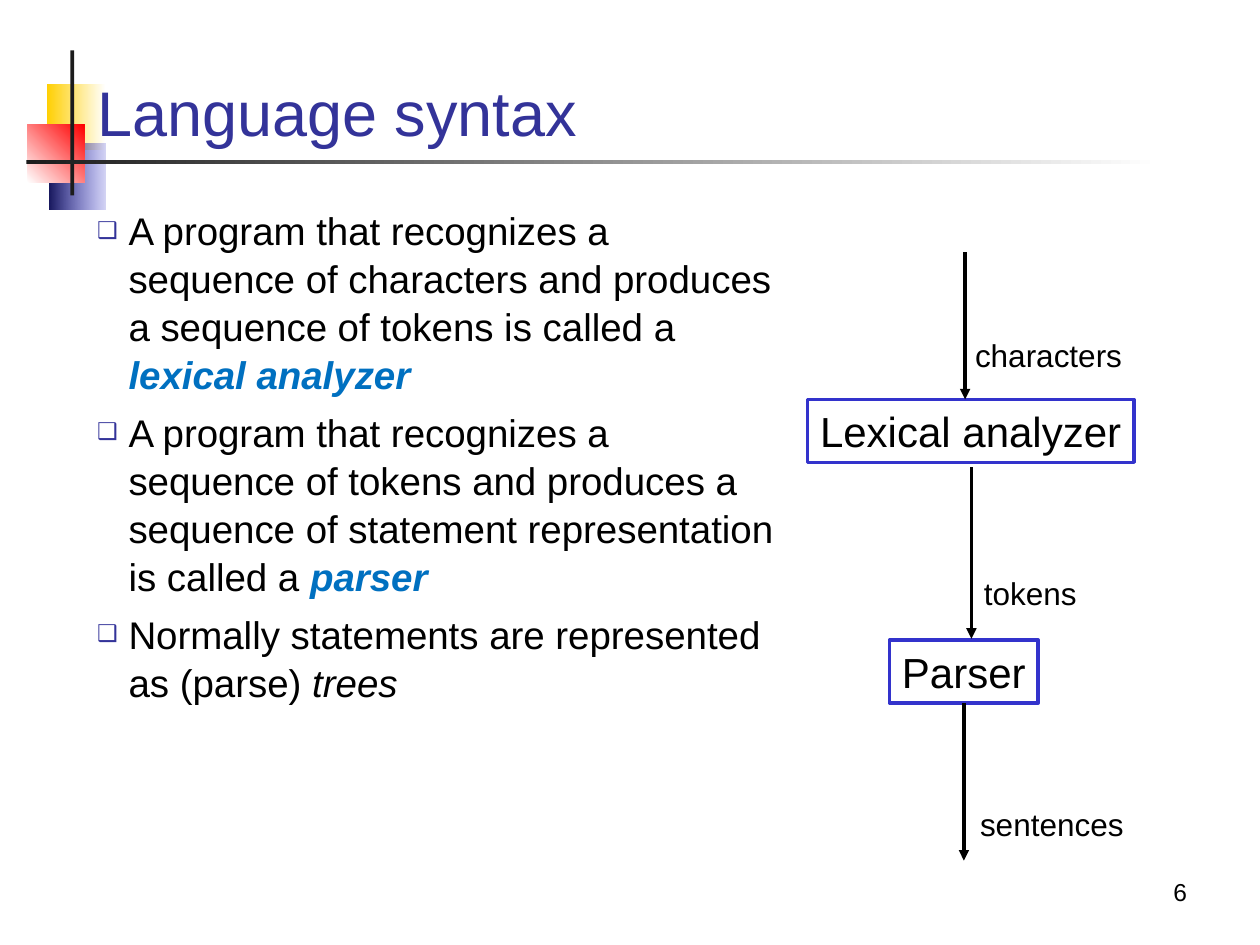
from dataclasses import dataclass

from lxml.etree import SubElement
from pptx import Presentation
from pptx.dml.color import RGBColor
from pptx.enum.shapes import MSO_CONNECTOR, MSO_SHAPE
from pptx.enum.text import MSO_ANCHOR, MSO_AUTO_SIZE, PP_ALIGN
from pptx.oxml.ns import qn
from pptx.util import Inches, Pt


@dataclass(frozen=True)
class Theme:
    font: str = "Arial"
    ink: str = "000000"
    heading: str = "333399"
    term: str = "0070C0"
    frame: str = "3333CC"
    rule: str = "1C1C1C"
    white: str = "FFFFFF"
    yellow: str = "FFCF01"
    navy: str = "18185E"
    red: str = "FF0000"
    title_size: int = 36
    body_size: int = 22
    stage_size: int = 24
    label_size: int = 18
    number_size: int = 14


theme = Theme()


def write(paragraph, text, size, color=theme.ink, bold=False, italic=False,
          align=PP_ALIGN.LEFT):
    paragraph.alignment = align
    run = paragraph.add_run()
    run.text = text
    run.font.name = theme.font
    run.font.size = Pt(size)
    run.font.bold = bold
    run.font.italic = italic
    run.font.color.rgb = RGBColor.from_string(color)


def place(holder, left, top, width, height, anchor=MSO_ANCHOR.TOP, wrap=True):
    holder.left, holder.top = Inches(left), Inches(top)
    holder.width, holder.height = Inches(width), Inches(height)
    frame = holder.text_frame
    frame.auto_size = MSO_AUTO_SIZE.NONE
    frame.word_wrap = wrap
    frame.vertical_anchor = anchor
    return frame.paragraphs[0]


prs = Presentation()
prs.slide_width, prs.slide_height = Inches(10), Inches(7.5)
slide = prs.slides.add_slide(prs.slide_layouts[1])
shapes = slide.shapes
title, body = shapes.title, slide.placeholders[1]

ornaments = [
    (0.37, 0.67, 0.47, 0.52, theme.yellow, theme.white, 0),
    (0.39, 1.14, 0.45, 0.52, theme.navy, theme.frame, 0),
    (0.22, 0.99, 0.45, 0.46, theme.white, theme.red, 45),
    (0.56, 0.4, 0.03, 1.15, theme.rule, theme.rule, 0),
    (0.21, 1.27, 9, 0.03, theme.rule, theme.white, 0),
]
for left, top, width, height, start, end, angle in ornaments:
    ornament = shapes.add_shape(MSO_SHAPE.RECTANGLE, Inches(left), Inches(top),
                                Inches(width), Inches(height))
    ornament.shadow.inherit = False
    ornament.line.fill.background()
    if start == end:
        ornament.fill.solid()
        ornament.fill.fore_color.rgb = RGBColor.from_string(start)
        continue
    ornament.fill.gradient()
    ornament.fill.gradient_angle = angle
    for stop, color in zip(ornament.fill.gradient_stops, (start, end)):
        stop.color.rgb = RGBColor.from_string(color)
    if end == theme.frame:
        last_color = ornament._element.findall(".//" + qn("a:srgbClr"))[-1]
        SubElement(last_color, qn("a:alpha"), val="20000")

page_number = shapes.add_textbox(0, 0, 0, 0)
write(place(page_number, 7.44, 6.74, 2.08, 0.5, MSO_ANCHOR.BOTTOM), "6",
      size=theme.number_size, align=PP_ALIGN.RIGHT)

for holder in (title, body):
    shapes._spTree.append(holder._element)
write(place(title, 0.67, 0.28, 8.66, 0.95, MSO_ANCHOR.BOTTOM), "Language syntax",
      size=theme.title_size, color=theme.heading)

place(body, 0.67, 1.58, 5.58, 5.42)
emphasis = dict(color=theme.term, bold=True, italic=True)
points = [
    ("A program that recognizes a sequence of characters and produces "
     "a sequence of tokens is called a ", "lexical analyzer", emphasis),
    ("A program that recognizes a sequence of tokens and produces "
     "a sequence of statement representation is called a ", "parser", emphasis),
    ("Normally statements are represented as (parse) ", "trees", dict(italic=True)),
]
for index, (statement, term, style) in enumerate(points):
    point = body.text_frame.add_paragraph() if index else body.text_frame.paragraphs[0]
    properties = point._p.get_or_add_pPr()
    properties.set("marL", str(Inches(0.25)))
    properties.set("indent", str(Inches(-0.25)))
    bullet_color = SubElement(properties, qn("a:buClr"))
    SubElement(bullet_color, qn("a:srgbClr"), val=theme.heading)
    SubElement(properties, qn("a:buSzPct"), val="60000")
    SubElement(properties, qn("a:buChar"), char="❑")
    point.space_before = Pt(5.5 if index else 0)
    point.line_spacing = 1.04
    write(point, statement, size=theme.body_size)
    write(point, term, size=theme.body_size, **style)

stages = {}
for name, left, top, width in [("Lexical analyzer", 6.41, 3.17, 2.59),
                               ("Parser", 7.06, 5.08, 1.18)]:
    stage = shapes.add_shape(MSO_SHAPE.RECTANGLE, 0, 0, 0, 0)
    stage.shadow.inherit = False
    stage.fill.background()
    stage.line.color.rgb = RGBColor.from_string(theme.frame)
    stage.line.width = Pt(2)
    write(place(stage, left, top, width, 0.5, wrap=False), name, size=theme.stage_size)
    stages[name] = stage

flows = [
    ("characters", 7.66, 2, 3.17, 7.64, 2.62, 1.36, None),
    ("tokens", 7.71, 3.71, 5.07, 7.71, 4.51, 0.93, None),
    ("sentences", 7.66, 5.58, 6.83, 7.68, 6.34, 1.34, "Parser"),
]
for name, x, start, end, left, top, width, source in flows:
    arrow = shapes.add_connector(MSO_CONNECTOR.STRAIGHT, Inches(x), Inches(start),
                                 Inches(x), Inches(end))
    if source:
        arrow.begin_connect(stages[source], 2)
        arrow.end_x = arrow.begin_x
    arrow.line.color.rgb = RGBColor.from_string(theme.ink)
    arrow.line.width = Pt(2)
    SubElement(arrow.line._get_or_add_ln(), qn("a:tailEnd"), type="triangle")
    SubElement(arrow._element.spPr, qn("a:effectLst"))
    label = shapes.add_textbox(0, 0, 0, 0)
    write(place(label, left, top, width, 0.4, wrap=False), name, size=theme.label_size)

prs.save("out.pptx")
